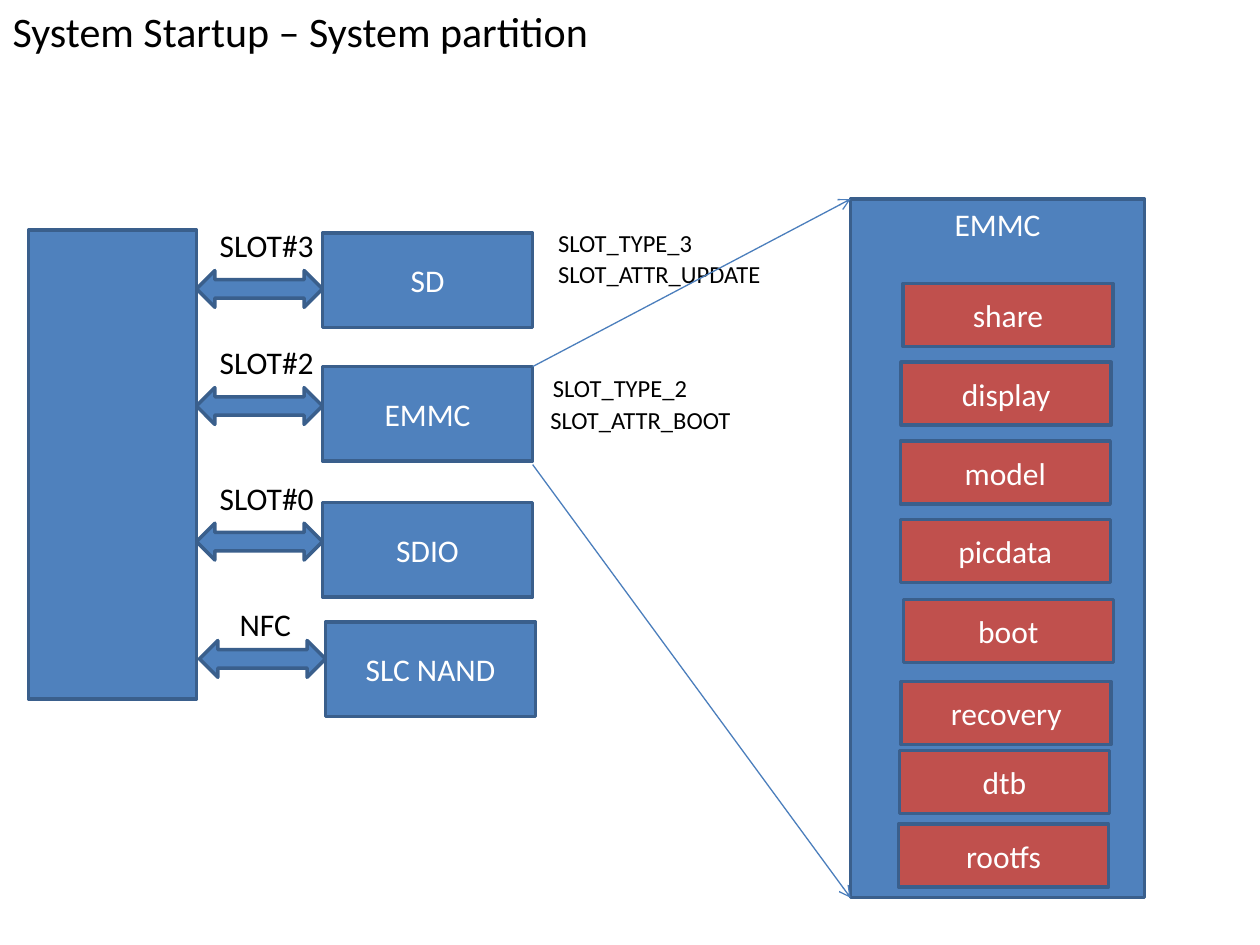
from lxml import etree
from pptx import Presentation
from pptx.dml.color import RGBColor
from pptx.enum.shapes import MSO_CONNECTOR, MSO_SHAPE
from pptx.enum.text import MSO_ANCHOR, MSO_AUTO_SIZE, PP_ALIGN
from pptx.oxml.ns import qn
from pptx.util import Pt

RECTANGLE, DOUBLE_ARROW = MSO_SHAPE.RECTANGLE, MSO_SHAPE.LEFT_RIGHT_ARROW
STRAIGHT = MSO_CONNECTOR.STRAIGHT
TOP, MIDDLE = MSO_ANCHOR.TOP, MSO_ANCHOR.MIDDLE
LEFT, CENTER = PP_ALIGN.LEFT, PP_ALIGN.CENTER
FIT_SHAPE = MSO_AUTO_SIZE.SHAPE_TO_FIT_TEXT

BLACK = RGBColor(0x00, 0x00, 0x00)
WHITE = RGBColor(0xFF, 0xFF, 0xFF)
BLUE = RGBColor(0x4F, 0x81, 0xBD)
RED = RGBColor(0xC0, 0x50, 0x4D)
OUTLINE = RGBColor(0x3A, 0x5F, 0x8C)
LINE_BLUE = RGBColor(0x4B, 0x7E, 0xBC)
FONT = "Calibri"

deck = Presentation()
deck.slide_width, deck.slide_height = Pt(720), Pt(540)
page = deck.slides.add_slide(deck.slide_layouts[5])


def write(shape, text, size, color, align, anchor):
    frame = shape.text_frame
    frame.text = text
    frame.vertical_anchor = anchor
    para = frame.paragraphs[0]
    para.alignment = align
    font = para.runs[0].font
    font.name, font.size, font.color.rgb = FONT, Pt(size), color


def add_block(kind, left, top, width, height, fill, text="", anchor=MIDDLE):
    block = page.shapes.add_shape(kind, Pt(left), Pt(top), Pt(width), Pt(height))
    block.shadow.inherit = False
    block.fill.solid()
    block.fill.fore_color.rgb = fill
    block.line.color.rgb = OUTLINE
    block.line.width = Pt(2)
    if text:
        write(block, text, 18, WHITE, CENTER, anchor)


# Title
title = page.shapes.title
title.left, title.top, title.width, title.height = Pt(0), Pt(-0.7), Pt(720), Pt(36.7)
write(title, "System Startup – System partition", 24, BLACK, LEFT, MIDDLE)

# Host block
add_block(RECTANGLE, 16.3, 131.5, 96, 268, BLUE)

# Storage devices and the double arrows that lead to them
devices = [  # name, left, top, arrow top
    ("SD", 184.3, 133.2, 154.6),
    ("EMMC", 184.3, 209.5, 221.5),
    ("SDIO", 184.3, 287.2, 299),
    ("SLC NAND", 186, 355.5, 366),
]
for name, left, top, arrow_top in devices:
    add_block(RECTANGLE, left, top, 120, 54, BLUE, name)
    add_block(DOUBLE_ARROW, left - 72, arrow_top, 72, 21, BLUE)

# Slot names and attributes
labels = [  # text, left, top, width, height, size
    ("SLOT#3", 118.5, 125.5, 69.1, 29.1, 18),
    ("SLOT#2", 118.5, 192.4, 69.1, 29.1, 18),
    ("SLOT#0", 118.5, 270, 69.1, 29.1, 18),
    ("NFC", 129.8, 342, 43.9, 29.1, 18),
    ("SLOT_TYPE_3", 311.8, 126.7, 92.2, 24.2, 14),
    ("SLOT_ATTR_UPDATE", 311.8, 144.7, 131.8, 24.2, 14),
    ("SLOT_TYPE_2", 308.9, 209.5, 92.2, 24.2, 14),
    ("SLOT_ATTR_BOOT", 307.4, 228.2, 118.8, 24.2, 14),
]
for text, left, top, width, height, size in labels:
    label = page.shapes.add_textbox(Pt(left), Pt(top), Pt(width), Pt(height))
    label.text_frame.word_wrap = False
    label.text_frame.auto_size = FIT_SHAPE
    write(label, text, size, BLACK, LEFT, TOP)

# EMMC detail with its partitions
add_block(RECTANGLE, 486, 113.8, 168, 399, BLUE, "EMMC", TOP)
partitions = [  # name, left, top
    ("share", 516, 162),
    ("display", 515, 207),
    ("model", 514.5, 252),
    ("picdata", 514.5, 297),
    ("boot", 516.2, 342.7),
    ("recovery", 515, 389.5),
    ("dtb", 514, 429),
    ("rootfs", 513.4, 471),
]
for name, left, top in partitions:
    add_block(RECTANGLE, left, top, 120, 36, RED, name)

# Zoom lines from the EMMC device to its detail
for start_y, end_y in [(209.5, 113.8), (265.5, 513)]:
    zoom = page.shapes.add_connector(STRAIGHT, Pt(304.4), Pt(start_y), Pt(486), Pt(end_y))
    zoom.line.color.rgb = LINE_BLUE
    zoom.line.width = Pt(0.75)
    etree.SubElement(zoom.line._get_or_add_ln(), qn("a:tailEnd"), type="arrow")
    etree.SubElement(zoom._element.spPr, qn("a:effectLst"))

deck.save("out.pptx")
